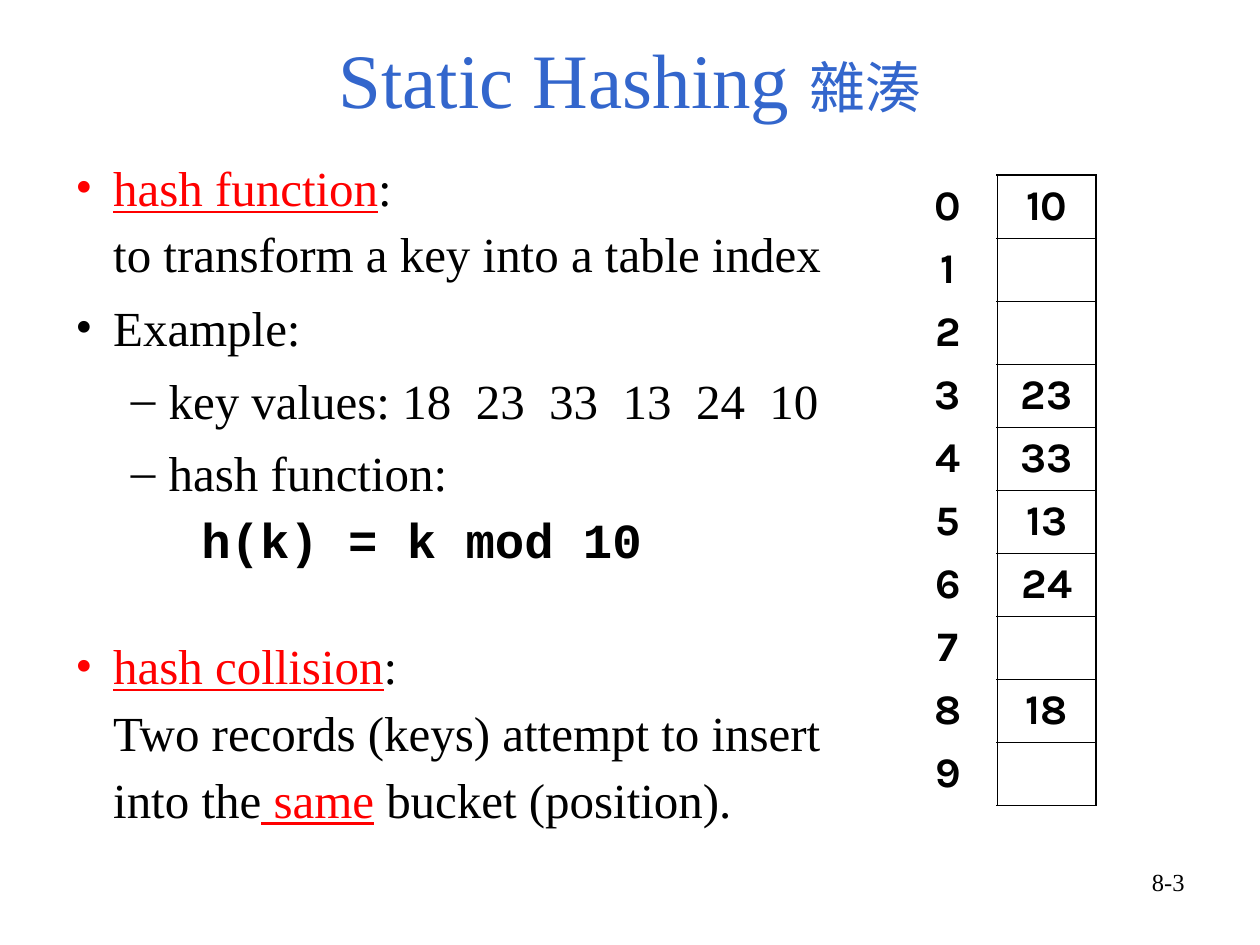
from lxml import etree
from pptx import Presentation
from pptx.dml.color import RGBColor
from pptx.enum.text import MSO_ANCHOR, PP_ALIGN
from pptx.oxml.ns import qn
from pptx.util import Pt

CENTER, RIGHT = PP_ALIGN.CENTER, PP_ALIGN.RIGHT
MIDDLE, BOTTOM = MSO_ANCHOR.MIDDLE, MSO_ANCHOR.BOTTOM
SERIF, MONO, SANS = "Times New Roman", "Courier New", "Karla"
BLACK, RED, BLUE, WHITE = "000000", "FF0000", "3366CC", "FFFFFF"
THICK, THIN = 1.08, 0.45
KEYS = [18, 23, 33, 13, 24, 10]
SLOTS = {0: 10, 3: 23, 4: 33, 5: 13, 6: 24, 8: 18}


def style(run, size, name=SERIF, color=BLACK, bold=False, line=False):
    font = run.font
    font.size, font.name = Pt(size), name
    font.bold, font.underline = bold, line
    font.color.rgb = RGBColor.from_string(color)


def bullet(para, char, color):
    props = para._p.get_or_add_pPr()
    tint = etree.SubElement(props, qn("a:buClr"))
    etree.SubElement(tint, qn("a:srgbClr"), val=color)
    etree.SubElement(props, qn("a:buFont"), typeface=SERIF)
    etree.SubElement(props, qn("a:buChar"), char=char)


def add_para(frame, parts, left=21.6, mark=None, tint=BLACK,
             space=8, tight=False, name=SERIF):
    """Add a paragraph of (text, kind) parts; kind is "", "key" or "gap"."""
    first = not frame.paragraphs[0].runs
    para = frame.paragraphs[0] if first else frame.add_paragraph()
    para.space_before = Pt(0 if first else space)
    para.line_spacing = 0.9 if tight else 1.0
    props = para._p.get_or_add_pPr()
    props.set("marL", str(Pt(left)))
    props.set("indent", str(Pt(-21.6 if mark else 0)))
    if mark:
        bullet(para, mark, tint)
    for text, kind in parts:
        run = para.add_run()
        run.text = text
        key = kind == "key"
        style(run, 28, name, RED if key else BLACK, name == MONO, key)
        if kind == "gap":
            run._r.get_or_add_rPr().set("spc", "700")


def add_box(slide, left, top, width, height):
    frame = slide.shapes.add_textbox(
        Pt(left), Pt(top), Pt(width), Pt(height)).text_frame
    frame.word_wrap = True
    return frame


def add_title(slide):
    title = slide.shapes.title
    title.left, title.top = Pt(36), Pt(15)
    title.width, title.height = Pt(648), Pt(63)
    frame = title.text_frame
    frame.vertical_anchor = BOTTOM
    frame.margin_bottom = Pt(7.2)
    para = frame.paragraphs[0]
    para.alignment = CENTER
    for text, size in (("Static Hashing ", 44), ("雜湊", 32)):
        run = para.add_run()
        run.text = text
        style(run, size, color=BLUE)


def add_body(slide):
    frame = add_box(slide, 36, 83, 472, 400)
    frame.margin_top = Pt(7)
    # Hash function
    add_para(frame, [("hash function", "key"), (":", "")],
             mark="•", tint=RED)
    add_para(frame, [("to transform a key into a table index", "")],
             tight=True)
    # Example, with wider gaps between the keys
    add_para(frame, [("Example:", "")], mark="•")
    parts = [(f"key values: {KEYS[0]}", "")]
    for key in KEYS[1:]:
        parts += [(" ", "gap"), (str(key), "")]
    add_para(frame, parts, left=53.3, mark="–")
    add_para(frame, [("hash function:", "")], left=53.3, mark="–")
    add_para(frame, [("h(k) = k mod 10", "")], left=72, tight=True, name=MONO)
    # Hash collision
    add_para(frame, [("hash collision", "key"), (":", "")],
             mark="•", tint=RED, space=42, tight=True)
    add_para(frame, [("Two records (keys) attempt to insert", "")],
             tight=True)
    add_para(frame, [("into the", ""), (" same", "key"),
                     (" bucket (position).", "")], tight=True)


def border(cell, widths):
    """Draw left, right, top and bottom lines; width 0 means no line."""
    props = cell._tc.get_or_add_tcPr()
    for side, width in zip("LRTB", widths):
        line = etree.SubElement(props, qn(f"a:ln{side}"), w=str(Pt(width)))
        if width:
            fill = etree.SubElement(line, qn("a:solidFill"))
            etree.SubElement(fill, qn("a:srgbClr"), val=BLACK)
        else:
            etree.SubElement(line, qn("a:noFill"))


def fill_cell(cell, text, widths):
    cell.vertical_anchor = MIDDLE
    border(cell, widths)
    cell.fill.solid()
    cell.fill.fore_color.rgb = RGBColor.from_string(WHITE)
    para = cell.text_frame.paragraphs[0]
    para.alignment = CENTER
    para.text = text
    for run in para.runs:
        style(run, 24, SANS, bold=True)


def add_slots(slide):
    count = 10
    table = slide.shapes.add_table(
        count, 2, Pt(513.4), Pt(100), Pt(113), Pt(360)).table
    table.first_row = table.horz_banding = False
    for row in range(count):
        top = THIN if row else THICK
        base = THIN if row < count - 1 else THICK
        fill_cell(table.cell(row, 0), str(row), (0, THICK, 0, 0))
        fill_cell(table.cell(row, 1), str(SLOTS.get(row, "")),
                  (THICK, THICK, top, base))


def add_number(slide):
    frame = add_box(slide, 516, 492, 168, 37)
    para = frame.paragraphs[0]
    para.text = "8-3"
    para.alignment = RIGHT
    style(para.runs[0], 14)


def main():
    deck = Presentation()
    deck.slide_width, deck.slide_height = Pt(720), Pt(540)
    slide = deck.slides.add_slide(deck.slide_layouts[5])
    add_title(slide)
    add_body(slide)
    add_number(slide)
    add_slots(slide)
    deck.save("out.pptx")


if __name__ == "__main__":
    main()
